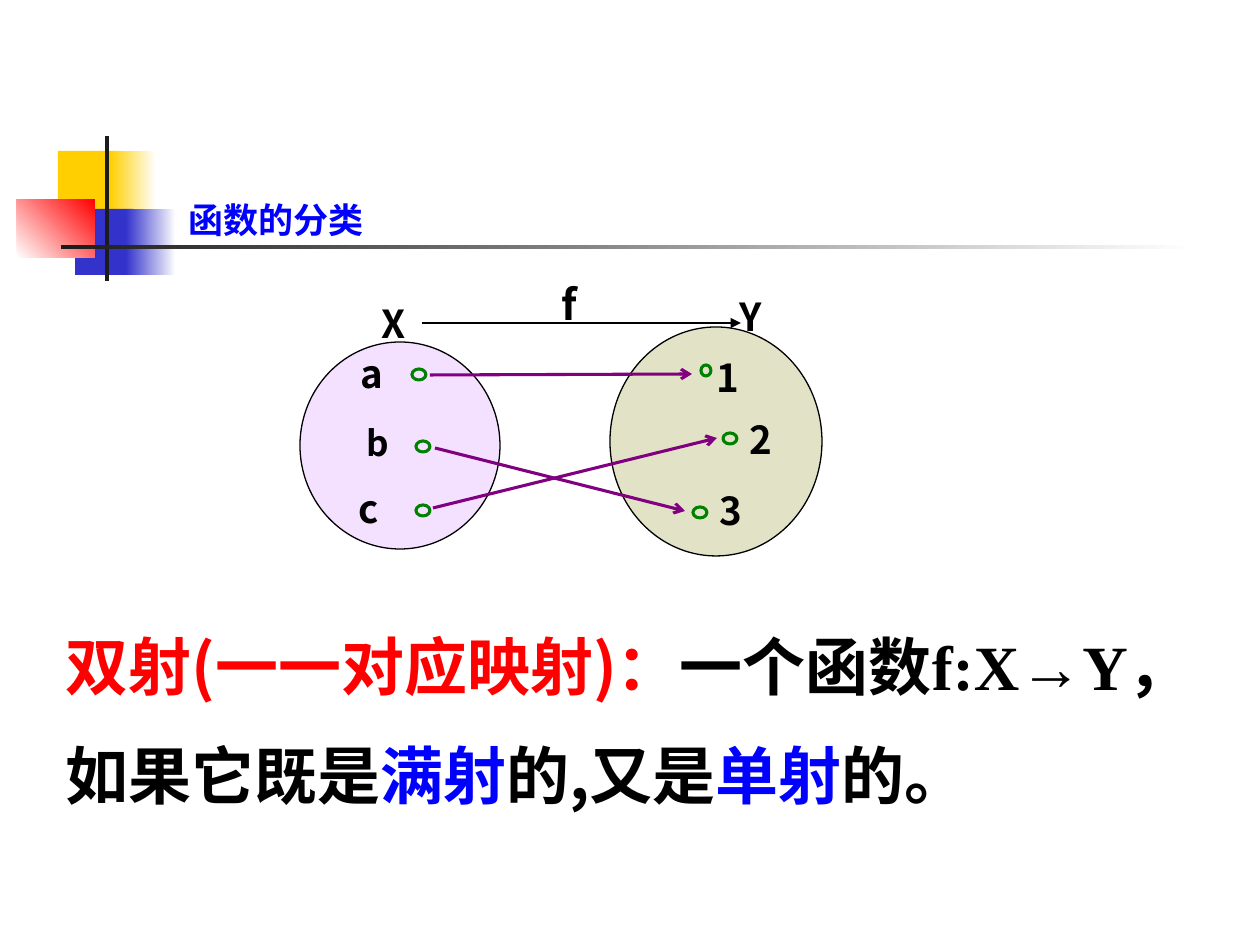
from lxml import etree
from pptx import Presentation, util as u
from pptx.dml.color import RGBColor
from pptx.enum import shapes, text
from pptx.oxml.ns import qn

EMU_PER_PX = 914400 / 126
FONT, LATIN = "Noto Sans CJK SC", "Times New Roman"
COLORS = {
    "yellow": "FFCF01", "indigo": "3333CC", "red": "FF0000", "ink": "1C1C1C",
    "white": "FFFFFF", "black": "000000", "blue": "0000FF", "green": "008000",
    "purple": "800080", "domain": "F4E1FF", "codomain": "E1E2C6",
}
RECT, OVAL = shapes.MSO_SHAPE.RECTANGLE, shapes.MSO_SHAPE.OVAL


def px(*lengths):
    return [u.Emu(round(n * EMU_PER_PX)) for n in lengths]


def rgb(name):
    return RGBColor.from_string(COLORS[name])


def add_block(slide, box, start, end=None, angle=0):
    """Borderless rectangle, solid or fading from start to end."""
    block = slide.shapes.add_shape(RECT, *px(*box))
    block.shadow.inherit = False
    block.line.fill.background()
    if end is None:
        block.fill.solid()
        block.fill.fore_color.rgb = rgb(start)
        return
    block.fill.gradient()
    block.fill.gradient_angle = angle
    for stop, color, position in zip(block.fill.gradient_stops, (start, end), (0, 1)):
        stop.color.rgb = rgb(color)
        stop.position = position


def add_oval(slide, box, line, width, fill=None):
    oval = slide.shapes.add_shape(OVAL, *px(*box))
    oval.shadow.inherit = False
    oval.line.color.rgb = rgb(line)
    oval.line.width = u.Pt(width)
    if fill:
        oval.fill.solid()
        oval.fill.fore_color.rgb = rgb(fill)
    else:
        oval.fill.background()


def add_arrow(slide, ends, color, width, head):
    arrow = slide.shapes.add_connector(shapes.MSO_CONNECTOR.STRAIGHT, *px(*ends))
    arrow.line.color.rgb = rgb(color)
    arrow.line.width = u.Pt(width)
    etree.SubElement(arrow.line._get_or_add_ln(), qn("a:tailEnd"), type=head)
    etree.SubElement(arrow._element.spPr, qn("a:effectLst"))


def set_font(font, owner, size, color, name=FONT):
    """Format a run or paragraph, for East Asian letters as well."""
    font.size, font.bold, font.name = u.Pt(size), True, name
    font.color.rgb = rgb(color)
    for latin in owner.iter(qn("a:latin")):
        east_asian = etree.Element(qn("a:ea"), typeface=FONT)
        latin.addnext(east_asian)


def add_label(slide, words, left, top, size=22):
    label = slide.shapes.add_textbox(*px(left, top, 54, 59))
    label.text_frame.text = words
    paragraph = label.text_frame.paragraphs[0]
    set_font(paragraph.font, paragraph._p, size, "black")


def add_title(slide, words):
    title = slide.shapes.title
    title.left, title.top, title.width, title.height = px(176, 192, 401, 54)
    frame = title.text_frame
    frame.text = words
    frame.vertical_anchor = text.MSO_ANCHOR.TOP
    paragraph = frame.paragraphs[0]
    paragraph.alignment = text.PP_ALIGN.LEFT
    set_font(paragraph.font, paragraph._p, 20, "blue")


def add_definition(slide, lines):
    frame = slide.shapes.add_textbox(*px(53, 621, 1169, 198)).text_frame
    frame.word_wrap = True
    for index, runs in enumerate(lines):
        paragraph = frame.add_paragraph() if index else frame.paragraphs[0]
        if index:
            paragraph.line_spacing = 1.45
        for words, color, name in runs:
            run = paragraph.add_run()
            run.text = words
            set_font(run.font, run._r, 36, color, name)


def add_ornament(slide):
    add_block(slide, (58, 151, 60, 66), "yellow")
    add_block(slide, (110, 151, 46, 66), "yellow", "white")
    add_block(slide, (75, 209, 58, 66), "indigo")
    add_block(slide, (126, 209, 50, 66), "indigo", "white")
    add_block(slide, (17, 199, 78, 59), "white", "red", 45)
    add_block(slide, (105, 136, 4, 145), "ink")
    add_block(slide, (61, 245, 1134, 4), "ink", "white")


def add_mapping(slide):
    add_oval(slide, (610, 327, 212, 229), "black", 0.75, "codomain")
    add_oval(slide, (300, 342, 200, 207), "black", 0.75, "domain")

    dots = [(412, 369, 14), (416, 441, 14), (416, 505, 14),
            (701, 365, 10), (723, 433, 14), (693, 507, 14)]
    for left, top, width in dots:
        add_oval(slide, (left, top, width, 11), "green", 1.75)

    for ends in [(430, 375, 692, 374), (435, 448, 685, 511), (433, 508, 717, 438)]:
        add_arrow(slide, ends, "purple", 1.75, "arrow")
    add_arrow(slide, (422, 323, 741, 323), "black", 0.75, "triangle")

    labels = [("a", 348, 344), ("b", 354, 415, 20), ("c", 346, 479),
              ("1", 704, 348), ("2", 737, 410), ("3", 707, 481),
              ("X", 369, 294), ("Y", 727, 287), ("f", 549, 272, 24)]
    for label in labels:
        add_label(slide, *label)


def main():
    deck = Presentation()
    deck.slide_width, deck.slide_height = px(1260, 945)
    slide = deck.slides.add_slide(deck.slide_layouts[5])
    add_ornament(slide)
    add_title(slide, "函数的分类")
    add_mapping(slide)
    add_definition(slide, [
        [("双射(一一对应映射)：", "red", FONT), ("一个函数", "black", FONT),
         ("f:X→Y", "black", LATIN), ("，", "black", FONT)],
        [("如果它既是", "black", FONT), ("满射", "blue", FONT),
         ("的,又是", "black", FONT), ("单射", "blue", FONT),
         ("的。", "black", FONT)],
    ])
    deck.save("out.pptx")


if __name__ == "__main__":
    main()
